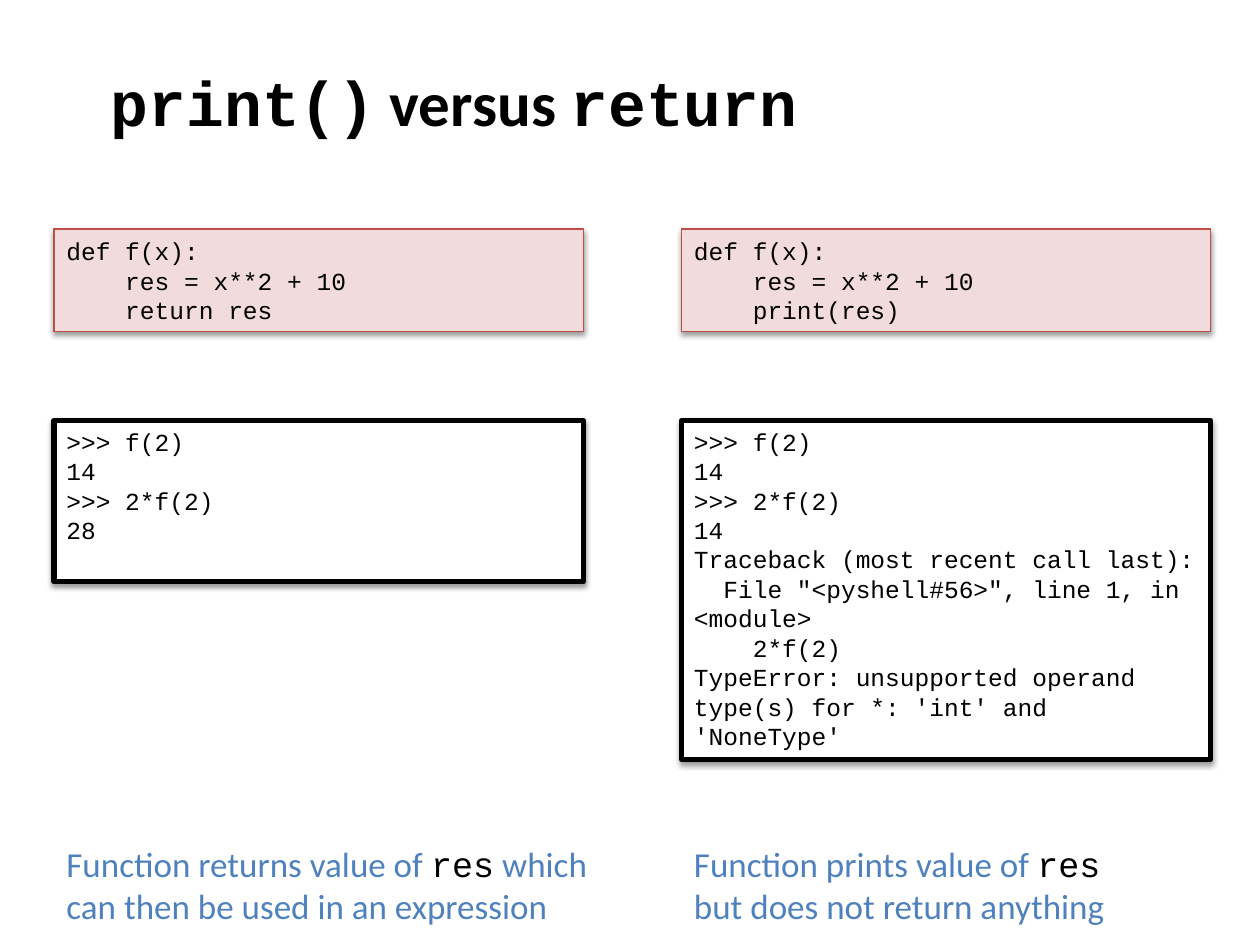
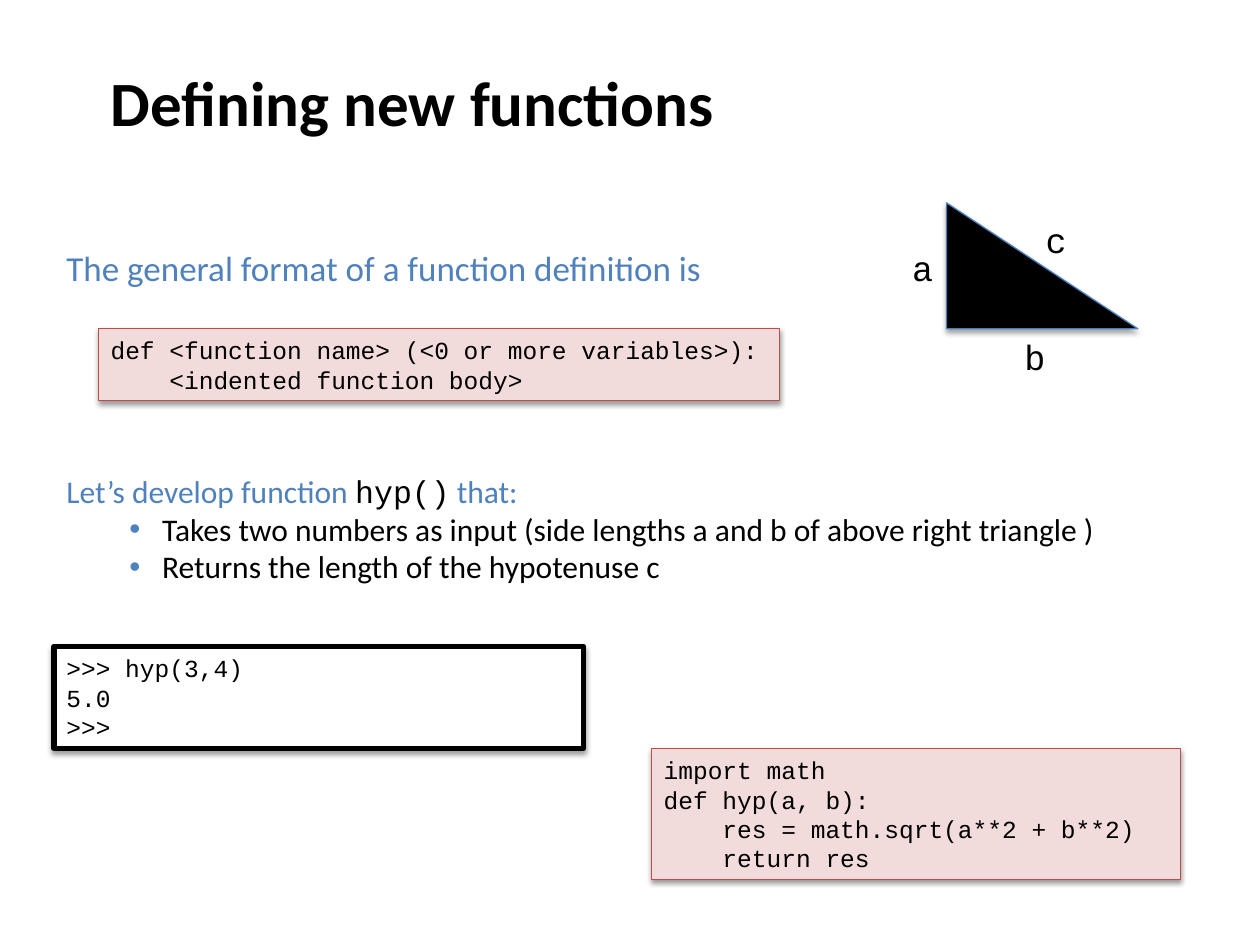
from dataclasses import dataclass, field

from lxml import etree
from pptx import Presentation
from pptx import util as u
from pptx.dml.color import RGBColor
from pptx.enum import shapes, text
from pptx.oxml.ns import qn

SANS, MONO = "Calibri", "Courier New"
BLACK, BLUE = "000000", "4F81BD"


def face(name, size, color, bold=False):
    return {"name": name, "size": u.Pt(size), "color": color, "bold": bold}


@dataclass(frozen=True)
class Theme:
    accent: str = BLUE
    styles: dict = field(default_factory=lambda: {
        "title": face(SANS, 36, BLACK, True),
        "title_code": face(MONO, 36, BLACK, True),
        "code": face(MONO, 14, BLACK),
        "note": face(SANS, 20, BLUE),
        "note_code": face(MONO, 20, BLACK),
        "task": face(SANS, 18, BLUE),
        "task_code": face(MONO, 18, BLACK),
        "bullet": face(SANS, 18, BLACK),
    })
    boxes: dict = field(default_factory=lambda: {
        "source": {"fill": "F2DCDB", "line": "BF4C48", "width": 0.75},
        "shell": {"fill": "FFFFFF", "line": BLACK, "width": 3},
        "triangle": {"fill": BLACK, "line": "4B7EBC", "width": 0.75},
    })


THEME = Theme()
LEFT, RIGHT, CODE_W = 1.09, 13.74, 10.67
TITLE_BOX = (1.98, 0, 21.59, 4.09)


def cm(box):
    return [u.Cm(v) for v in box]


def write(sp, paragraphs, anchor=text.MSO_ANCHOR.MIDDLE):
    tf = sp.text_frame
    frame = {"word_wrap": True, "auto_size": text.MSO_AUTO_SIZE.NONE, "vertical_anchor": anchor}
    for name, value in frame.items():
        setattr(tf, name, value)
    for i, runs in enumerate(paragraphs):
        p = tf.paragraphs[0] if i == 0 else tf.add_paragraph()
        p.alignment = text.PP_ALIGN.LEFT
        for words, style in runs:
            r = p.add_run()
            r.text = words
            for name, value in THEME.styles[style].items():
                if name == "color":
                    r.font.color.rgb = RGBColor.from_string(value)
                else:
                    setattr(r.font, name, value)
    return tf


def add_shadow(sp, opacity, distance):
    sp.shadow.inherit = False
    effects = sp._element.spPr.find(qn("a:effectLst"))
    shadow = etree.SubElement(effects, qn("a:outerShdw"), blurRad=str(u.Pt(3.1)),
                              dist=str(u.Pt(distance)), dir="5400000", rotWithShape="0")
    color = etree.SubElement(shadow, qn("a:srgbClr"), val=BLACK)
    etree.SubElement(color, qn("a:alpha"), val=str(opacity * 1000))


def add_bullet(p):
    p.level = 1
    pPr = p._p.get_or_add_pPr()
    pPr.set("marL", str(u.Cm(1.93)))
    pPr.set("indent", str(u.Cm(-0.66)))
    color = etree.SubElement(pPr, qn("a:buClr"))
    etree.SubElement(color, qn("a:srgbClr"), val=THEME.accent)
    etree.SubElement(pPr, qn("a:buFont"), typeface="Arial")
    etree.SubElement(pPr, qn("a:buChar"), char="•")


def add_block(s, kind, box, preset=shapes.MSO_SHAPE.RECTANGLE, opacity=38, distance=1.6):
    look = THEME.boxes[kind]
    sp = s.shapes.add_shape(preset, *cm(box))
    sp.fill.solid()
    sp.fill.fore_color.rgb = RGBColor.from_string(look["fill"])
    sp.line.color.rgb = RGBColor.from_string(look["line"])
    sp.line.width = u.Pt(look["width"])
    add_shadow(sp, opacity, distance)
    return sp


def add_code(s, kind, box, code, anchor=text.MSO_ANCHOR.MIDDLE):
    write(add_block(s, kind, box), [[(line, "code")] for line in code.split("\n")], anchor)


def add_note(s, box, paragraphs):
    return write(s.shapes.add_textbox(*cm(box)), paragraphs)


def add_titled_slide(prs, runs):
    s = prs.slides.add_slide(prs.slide_layouts[5])
    title = s.shapes.title
    for name, value in zip(("left", "top", "width", "height"), cm(TITLE_BOX)):
        setattr(title, name, value)
    write(title, [runs])
    return s


def add_comparison(s, box, source, session, session_h, note, note_w):
    x, y, w, h = box
    add_code(s, "source", (x, y, w, 2.06), source)
    add_code(s, "shell", (x, y + 3.86, w, session_h), session, text.MSO_ANCHOR.TOP)
    add_note(s, (x, y + h - 1.96, note_w, 1.96), note)


def add_triangle(s, box):
    x, y, w, h = box
    side, label_h = 0.94, 1.12
    add_block(s, "triangle", (x + side, y, w - side, h - label_h),
              shapes.MSO_SHAPE.RIGHT_TRIANGLE, 35, 1.8)
    for name, dx, dy in (("a", 0, 0.74), ("b", 2.26, h - label_h), ("c", 2.69, 0.18)):
        add_note(s, (x + dx, y + dy, side, label_h), [[(name, "note_code")]])


def add_task(s, box, intro, goals):
    tf = add_note(s, box, [intro] + [[(goal, "bullet")] for goal in goals])
    for p in tf.paragraphs[1:]:
        add_bullet(p)


def build_print_versus_return(prs):
    s = add_titled_slide(prs, [("print()", "title_code"), (" versus ", "title"),
                               ("return", "title_code")])
    body = "def f(x):\n    res = x**2 + 10\n    "
    calls = ">>> f(2)\n14\n>>> 2*f(2)\n"
    error = ("14\nTraceback (most recent call last):\n"
             "  File \"<pyshell#56>\", line 1, in <module>\n"
             "    2*f(2)\n"
             "TypeError: unsupported operand type(s) for *: 'int' and 'NoneType'")
    returns = [[("Function returns value of ", "note"), ("res", "note_code"),
                (" which can then be used in an expression", "note")]]
    prints = [[("Function prints value of ", "note"), ("res", "note_code")],
              [("but does not return anything", "note")]]
    columns = (
        (LEFT, "return res", "28", 3.25, returns, 11.05),
        (RIGHT, "print(res)", error, 6.83, prints, 8.89),
    )
    for x, last, result, session_h, note, note_w in columns:
        add_comparison(s, (x, 4.62, CODE_W, 14.2), body + last, calls + result,
                       session_h, note, note_w)


def build_defining_functions(prs):
    s = add_titled_slide(prs, [("Defining new functions", "title")])
    add_code(s, "source", (1.98, 6.63, 13.74, 1.45),
             "def <function name> (<0 or more variables>):\n    <indented function body>")
    add_triangle(s, (18.14, 4.09, 4.8, 3.66))
    add_code(s, "shell", (LEFT, 13.03, CODE_W, 2.06), ">>> hyp(3,4)\n5.0\n>>>")
    add_note(s, (LEFT, 4.83, 13.46, 1.12),
             [[("The general format of a function definition is", "note")]])
    add_task(s, (LEFT, 9.37, 21.62, 2.57),
             [("Let’s develop function ", "task"), ("hyp()", "task_code"), (" that:", "task")],
             ["Takes two numbers as input (side lengths a and b of above right triangle )",
              "Returns the length of the hypotenuse c"])
    add_code(s, "source", (13.13, 15.09, CODE_W, 2.64),
             "import math\ndef hyp(a, b):\n    res = math.sqrt(a**2 + b**2)\n    return res")


def main():
    prs = Presentation()
    prs.slide_width, prs.slide_height = u.Cm(25.4), u.Cm(19.05)
    build_print_versus_return(prs)
    build_defining_functions(prs)
    prs.save("out.pptx")


if __name__ == "__main__":
    main()
